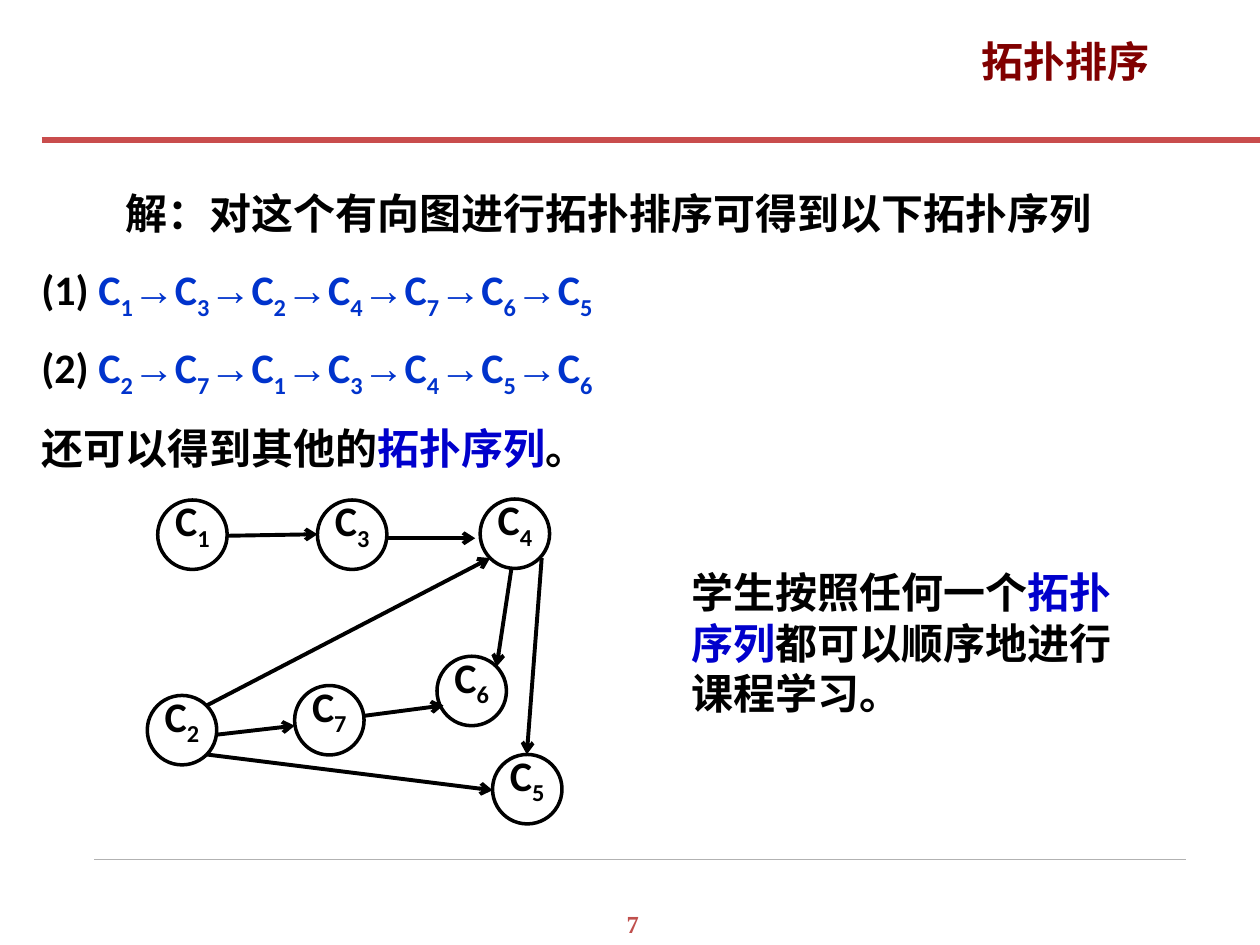
from lxml.etree import SubElement
from pptx import Presentation
from pptx.dml.color import RGBColor
from pptx.enum.shapes import MSO_CONNECTOR, MSO_SHAPE
from pptx.enum.text import MSO_ANCHOR, MSO_AUTO_SIZE, PP_ALIGN
from pptx.oxml.ns import qn
from pptx.util import Cm, Pt

BLACK = RGBColor(0x00, 0x00, 0x00)
MAROON = RGBColor(0x80, 0x00, 0x00)
RED = RGBColor(0xC9, 0x4D, 0x4D)
NUMBER_RED = RGBColor(0xC0, 0x50, 0x4D)
BLUE = RGBColor(0x00, 0x33, 0xCC)
TERM_BLUE = RGBColor(0x00, 0x00, 0xCC)
GREY = RGBColor(0xB2, 0xB2, 0xB2)
CHINESE = "Noto Sans CJK SC"
LATIN = "Calibri"

TITLE = "拓扑排序"
INTRODUCTION = "解：对这个有向图进行拓扑排序可得到以下拓扑序列"
ORDERS = [("(1) ", "1324765"), ("(2) ", "2713456")]
CLOSING = [("还可以得到其他的", BLACK), ("拓扑序列", TERM_BLUE), ("。", BLACK)]
REMARK = [("学生按照任何一个", BLACK), ("拓扑序列", TERM_BLUE),
          ("都可以顺序地进行课程学习。", BLACK)]
PAGE_NUMBER = "7"

# Course number: left and top of its circle, in cm
NODE_SIZE = 1.4
NODES = {
    "1": (3.18, 10.08), "3": (6.4, 10.08), "4": (9.68, 10.06),
    "2": (2.97, 14.02), "7": (5.94, 13.82), "6": (8.81, 13.23),
    "5": (9.93, 15.21),
}
# Start and end of each arrow, in cm
ARROWS = [
    ((4.6, 10.8), (6.4, 10.77)),      # 1 to 3
    ((7.77, 10.85), (9.58, 10.85)),   # 3 to 4
    ((4.17, 14.22), (9.88, 11.25)),   # 2 to 4
    ((4.37, 14.81), (5.94, 14.63)),   # 2 to 7
    ((7.34, 14.43), (8.94, 14.22)),   # 7 to 6
    ((10.31, 11.46), (10.01, 13.44)), # 4 to 6
    ((10.92, 11.25), (10.62, 15.21)), # 4 to 5
    ((4.17, 15.21), (9.93, 15.93)),   # 2 to 5
]


def place(shape, left, top, width, height):
    shape.left, shape.top = Cm(left), Cm(top)
    shape.width, shape.height = Cm(width), Cm(height)


def format_paragraph(paragraph, size=24, first_line=0):
    """Remove bullet and indents, then set the bold font."""
    properties = paragraph._p.get_or_add_pPr()
    properties.set("marL", "0")
    properties.set("indent", str(Pt(first_line)))
    SubElement(properties, qn("a:buNone"))
    paragraph.font.size = Pt(size)
    paragraph.font.bold = True


def add_run(paragraph, text, color, font=CHINESE, subscript=False):
    run = paragraph.add_run()
    run.text = text
    run.font.color.rgb = color
    run.font.name = font
    properties = run._r.get_or_add_rPr()
    if font == CHINESE:
        SubElement(properties, qn("a:ea")).set("typeface", font)
    if subscript:
        properties.set("baseline", "-25000")


def add_course(paragraph, number, color):
    add_run(paragraph, "C", color, LATIN)
    add_run(paragraph, number, color, LATIN, subscript=True)


def add_line(slide, start, end, color, width, arrow=False):
    line = slide.shapes.add_connector(
        MSO_CONNECTOR.STRAIGHT, *(Cm(value) for value in start + end))
    line.line.color.rgb = color
    line.line.width = Pt(width)
    if arrow:
        SubElement(line.line._get_or_add_ln(), qn("a:tailEnd")).set("type", "arrow")
    SubElement(line._element.spPr, qn("a:effectLst"))


def fill_title(title):
    place(title, 18.26, 0.58, 6.45, 1.75)
    title.text_frame.vertical_anchor = MSO_ANCHOR.TOP
    paragraph = title.text_frame.paragraphs[0]
    paragraph.alignment = PP_ALIGN.CENTER
    format_paragraph(paragraph)
    add_run(paragraph, TITLE, MAROON)


def fill_body(body):
    place(body, 0.58, 3.76, 23.8, 5.89)
    frame = body.text_frame
    frame.auto_size = MSO_AUTO_SIZE.NONE
    frame.vertical_anchor = MSO_ANCHOR.TOP
    paragraphs = [frame.paragraphs[0]]
    paragraphs += [frame.add_paragraph() for _ in range(len(ORDERS) + 1)]
    for index, paragraph in enumerate(paragraphs):
        paragraph.line_spacing = 0.9
        paragraph.space_before = Pt(15 if index else 0)
        format_paragraph(paragraph, first_line=0 if index else 48)

    add_run(paragraphs[0], INTRODUCTION, BLACK)
    for paragraph, (label, courses) in zip(paragraphs[1:], ORDERS):
        add_run(paragraph, label, BLACK, LATIN)
        for index, number in enumerate(courses):
            if index:
                add_run(paragraph, "→", BLUE, "Arial")
            add_course(paragraph, number, BLUE)
    paragraphs[-1].line_spacing = Pt(30)
    for text, color in CLOSING:
        add_run(paragraphs[-1], text, color)


def add_node(slide, number, left, top):
    node = slide.shapes.add_shape(
        MSO_SHAPE.OVAL, Cm(left), Cm(top), Cm(NODE_SIZE), Cm(NODE_SIZE))
    node.shadow.inherit = False
    node.fill.background()
    node.line.color.rgb = BLACK
    node.line.width = Pt(2)
    frame = node.text_frame
    frame.margin_left = frame.margin_right = 0
    frame.margin_top = frame.margin_bottom = 0
    frame.vertical_anchor = MSO_ANCHOR.MIDDLE
    paragraph = frame.paragraphs[0]
    paragraph.alignment = PP_ALIGN.CENTER
    paragraph.line_spacing = Pt(20)
    format_paragraph(paragraph)
    add_course(paragraph, number, BLACK)


def add_text_box(slide, box, runs, size=24, font=CHINESE, alignment=PP_ALIGN.LEFT):
    frame = slide.shapes.add_textbox(*(Cm(value) for value in box)).text_frame
    frame.word_wrap = True
    paragraph = frame.paragraphs[0]
    paragraph.alignment = alignment
    format_paragraph(paragraph, size)
    for text, color in runs:
        add_run(paragraph, text, color, font)


def main():
    presentation = Presentation()
    presentation.slide_width, presentation.slide_height = Cm(25.4), Cm(19.05)
    slide = presentation.slides.add_slide(presentation.slide_layouts[1])

    add_line(slide, (1.9, 17.32), (23.9, 17.32), GREY, 0.25)
    add_line(slide, (0.84, 2.82), (25.4, 2.82), RED, 3.5)
    fill_title(slide.shapes.title)
    fill_body(slide.placeholders[1])
    for number, (left, top) in NODES.items():
        add_node(slide, number, left, top)
    for start, end in ARROWS:
        add_line(slide, start, end, BLACK, 2.25, arrow=True)
    add_text_box(slide, (13.69, 11.3, 9.53, 3.3), REMARK)
    add_text_box(slide, (12.12, 18.21, 1.27, 0.86), [(PAGE_NUMBER, NUMBER_RED)],
                 14, "Times New Roman", PP_ALIGN.CENTER)
    presentation.save("out.pptx")


if __name__ == "__main__":
    main()
